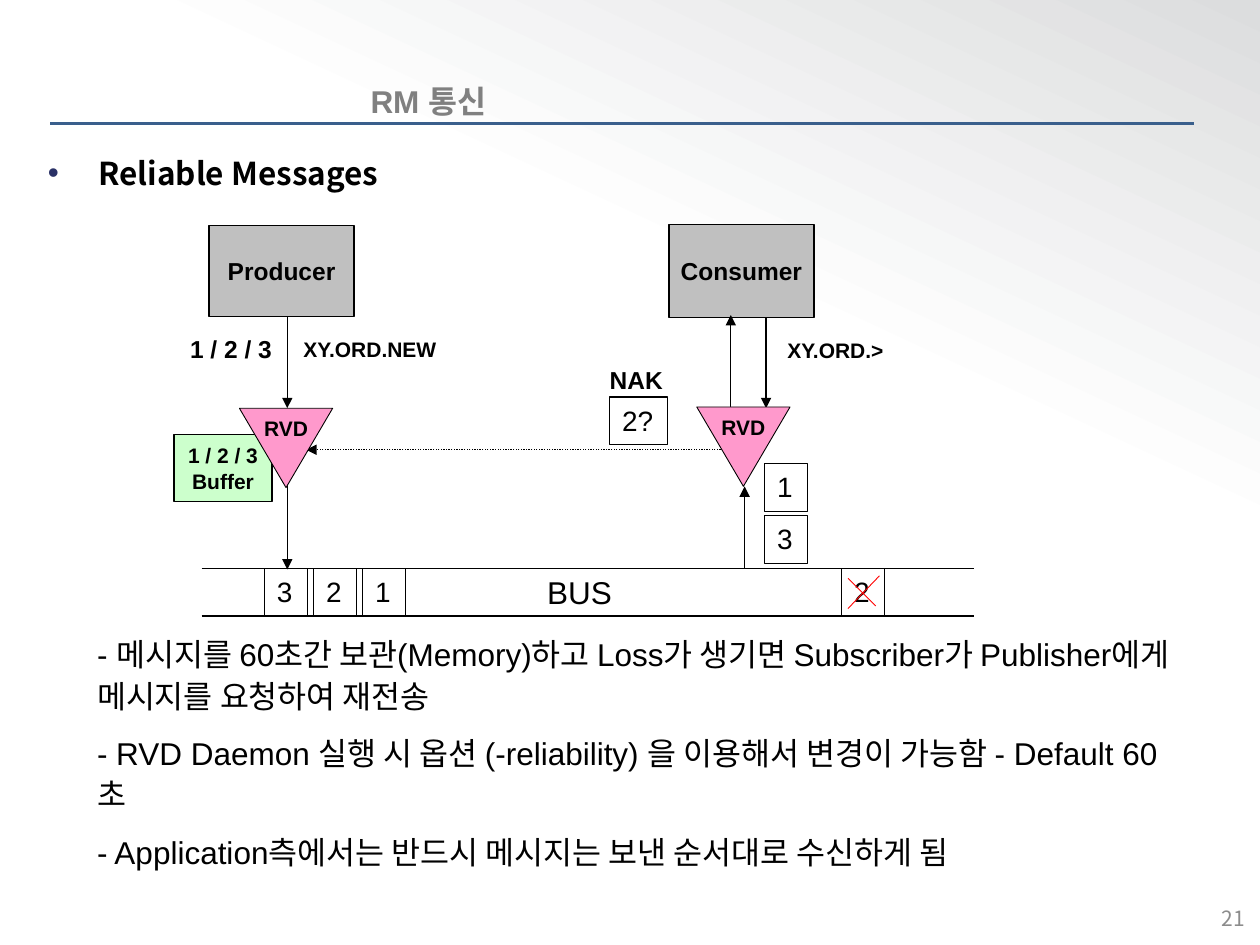
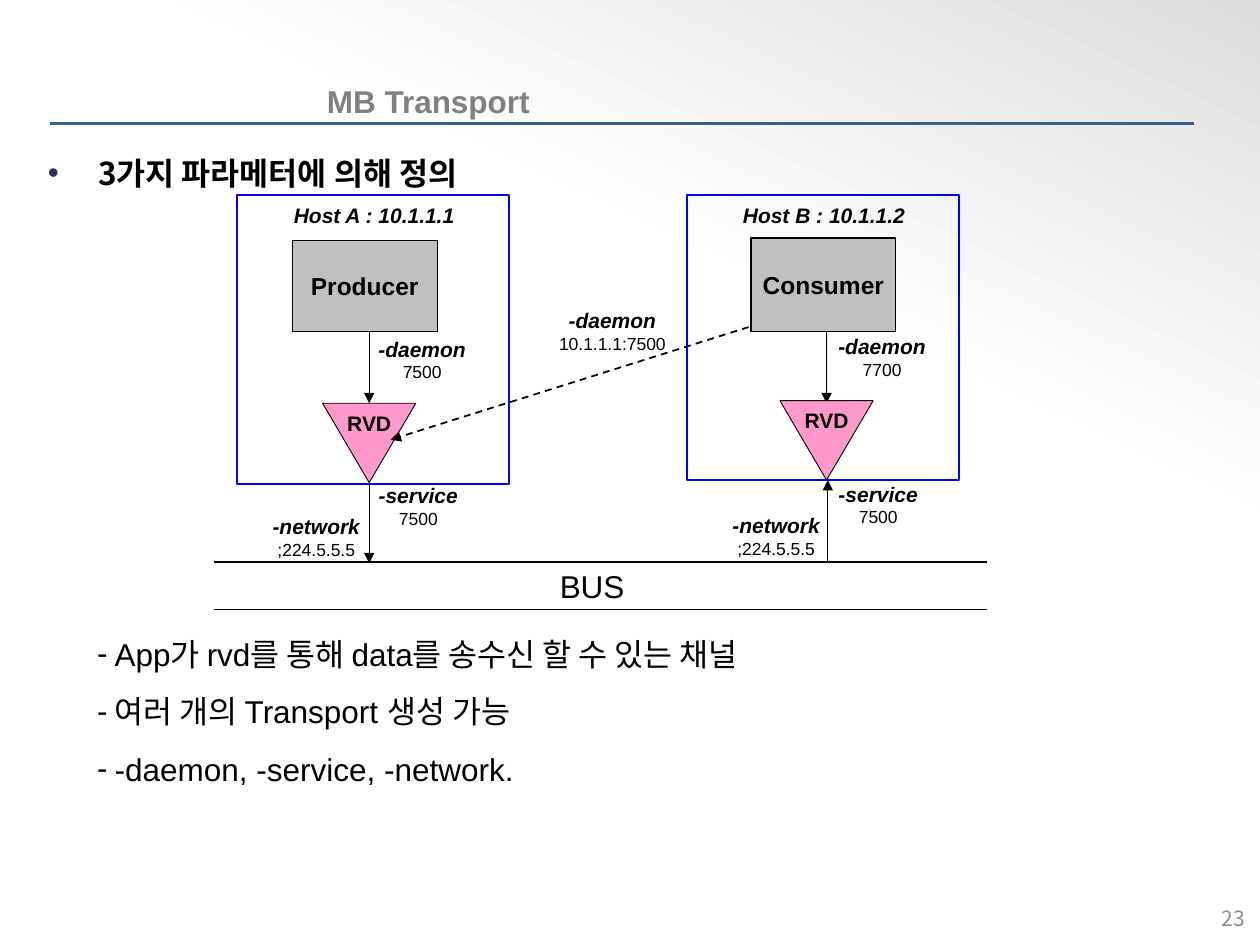
from dataclasses import dataclass
from typing import Optional

from lxml import etree
from pptx import Presentation
from pptx.dml.color import RGBColor
from pptx.enum.dml import MSO_LINE_DASH_STYLE as Dash
from pptx.enum.shapes import MSO_CONNECTOR as Conn, MSO_SHAPE as Shape
from pptx.enum.text import MSO_ANCHOR as Anchor, MSO_AUTO_SIZE as AutoSize, PP_ALIGN as Align
from pptx.oxml.ns import qn
from pptx.util import Inches, Pt

BLACK = RGBColor(0x00, 0x00, 0x00)
WHITE = RGBColor(0xFF, 0xFF, 0xFF)
MIST = RGBColor(0xDC, 0xDD, 0xDE)
RULE_BLUE = RGBColor(0x3A, 0x5F, 0x8C)
TITLE_GRAY = RGBColor(0x80, 0x80, 0x80)
NUMBER_GRAY = RGBColor(0x8C, 0x8C, 0x8C)
BULLET_NAVY = RGBColor(0x2A, 0x31, 0x66)
APP_GRAY = RGBColor(0xC0, 0xC0, 0xC0)
DAEMON_PINK = RGBColor(0xFF, 0x99, 0xCC)
BUFFER_GREEN = RGBColor(0xCC, 0xFF, 0xCC)
HOST_BLUE = RGBColor(0x00, 0x00, 0xFF)
LOST_RED = RGBColor(0xFF, 0x00, 0x00)
LATIN = "Arial"
KOREAN = "Noto Sans CJK KR"


@dataclass(frozen=True)
class Style:
    size: float
    bold: bool = False
    italic: bool = False
    color: RGBColor = BLACK
    font: str = LATIN


TITLE = Style(18, bold=True, color=TITLE_GRAY)
HEADING = Style(18, bold=True, font=KOREAN)
BODY = Style(18)
NUMBER = Style(12, color=NUMBER_GRAY, font=KOREAN)
APP = Style(14, bold=True)
LABEL = Style(12, bold=True)
OPTION = Style(12, bold=True, italic=True)
VALUE = Style(10)
PACKET = Style(16)


@dataclass(frozen=True)
class Box:
    x: float
    y: float
    w: float
    h: float
    text: str = ""
    style: Style = LABEL
    fill: Optional[RGBColor] = None
    line: RGBColor = BLACK
    weight: float = 0.75
    align: Align = Align.CENTER
    anchor: Anchor = Anchor.MIDDLE
    shape: Shape = Shape.RECTANGLE


@dataclass(frozen=True)
class Line:
    x1: float
    y1: float
    x2: float
    y2: float
    arrow: bool = True
    color: RGBColor = BLACK
    weight: float = 0.75
    dash: Optional[Dash] = None


@dataclass(frozen=True)
class Label:
    x: float
    y: float
    w: float
    h: float
    lines: tuple
    align: Align = Align.CENTER
    wrap: bool = True


@dataclass(frozen=True)
class Page:
    number: str
    title: str
    heading: str
    notes: tuple
    dash_bullets: bool


def add_run(p, text: str, style: Style) -> None:
    r = p.add_run()
    r.text = text
    f = r.font
    f.name, f.size = style.font, Pt(style.size)
    f.bold, f.italic = style.bold, style.italic
    f.color.rgb = style.color
    etree.SubElement(r._r.get_or_add_rPr(), qn("a:ea"), typeface=KOREAN)


def add_lines(tf, lines: tuple, align: Align) -> list:
    paragraphs = []
    for i, (text, style) in enumerate(lines):
        p = tf.add_paragraph() if i else tf.paragraphs[0]
        p.alignment = align
        add_run(p, text, style)
        paragraphs.append(p)
    return paragraphs


def set_bullet(p, char: str, indent: float, color: Optional[RGBColor] = None) -> None:
    pPr = p._p.get_or_add_pPr()
    pPr.set("marL", str(Inches(indent)))
    pPr.set("indent", str(-Inches(indent)))
    if color is not None:
        clr = etree.SubElement(pPr, qn("a:buClr"))
        etree.SubElement(clr, qn("a:srgbClr"), val=str(color))
    if char:
        etree.SubElement(pPr, qn("a:buChar"), char=char)
    else:
        etree.SubElement(pPr, qn("a:buNone"))


def place(sp, x: float, y: float, w: float, h: float) -> None:
    sp.left, sp.top, sp.width, sp.height = Inches(x), Inches(y), Inches(w), Inches(h)


def draw_box(s, box: Box):
    sp = s.shapes.add_shape(box.shape, Inches(box.x), Inches(box.y), Inches(box.w), Inches(box.h))
    sp.shadow.inherit = False
    if box.fill is None:
        sp.fill.background()
    else:
        sp.fill.solid()
        sp.fill.fore_color.rgb = box.fill
    sp.line.color.rgb = box.line
    sp.line.width = Pt(box.weight)
    if box.text:
        tf = sp.text_frame
        tf.word_wrap = False
        tf.vertical_anchor = box.anchor
        add_lines(tf, tuple((t, box.style) for t in box.text.split("\n")), box.align)
    return sp


def draw_line(s, line: Line) -> None:
    c = s.shapes.add_connector(Conn.STRAIGHT, Inches(line.x1), Inches(line.y1),
                               Inches(line.x2), Inches(line.y2))
    c.line.color.rgb = line.color
    c.line.width = Pt(line.weight)
    if line.dash is not None:
        c.line.dash_style = line.dash
    if line.arrow:
        etree.SubElement(c.line._get_or_add_ln(), qn("a:tailEnd"), type="triangle")
    etree.SubElement(c._element.spPr, qn("a:effectLst"))


def draw_label(s, label: Label) -> None:
    tb = s.shapes.add_textbox(Inches(label.x), Inches(label.y), Inches(label.w), Inches(label.h))
    tb.text_frame.word_wrap = label.wrap
    add_lines(tb.text_frame, label.lines, label.align)


def draw_app(s, name: str, x: float, y: float, h: float) -> None:
    draw_box(s, Box(x, y, 1.15, h, name, APP, APP_GRAY))


def draw_daemon(s, x: float, y: float) -> None:
    sp = draw_box(s, Box(x, y, 0.74, 0.63, "RVD", LABEL, DAEMON_PINK, weight=0.5,
                         shape=Shape.ISOSCELES_TRIANGLE))
    sp.rotation = 180
    sp.text_frame._txBody.bodyPr.set("rot", str(180 * 60000))


def draw_packet(s, text: str, x: float, y: float, w: float = 0.34,
                fill: Optional[RGBColor] = None) -> None:
    draw_box(s, Box(x, y, w, 0.38, text, PACKET, fill, align=Align.LEFT, anchor=Anchor.TOP))


def draw_bus(s, x: float, y: float) -> None:
    for edge in (y, y + 0.38):
        draw_line(s, Line(x, edge, x + 6.13, edge, arrow=False))
    draw_label(s, Label(x + 2.5, y - 0.01, 1, 0.4, (("BUS", BODY),)))


def draw_option(s, name: str, value: str, x: float, y: float, w: float = 1.02) -> None:
    draw_label(s, Label(x, y, w, 0.47, ((name, OPTION), (value, VALUE))))


def set_background(master) -> None:
    fill = master.background.fill
    fill.gradient()
    fill.gradient_angle = 65
    for stop, position, color in zip(fill.gradient_stops, (0.65, 1), (WHITE, MIST)):
        stop.position = position
        stop.color.rgb = color


def add_page(prs, page: Page):
    s = prs.slides.add_slide(prs.slide_layouts[3])
    title, heading, notes = s.placeholders
    draw_line(s, Line(0.4, 0.98, 9.48, 0.98, arrow=False, color=RULE_BLUE, weight=2))

    place(title, 1.51, 0.61, 3.78, 0.38)
    title.text_frame.vertical_anchor = Anchor.MIDDLE
    add_lines(title.text_frame, ((page.title, TITLE),), Align.CENTER)

    place(heading, 0.28, 1.23, 9.72, 0.55)
    p = add_lines(heading.text_frame, ((page.heading, HEADING),), Align.LEFT)[0]
    p.line_spacing, p.space_before = 0.8, Pt(0)
    set_bullet(p, "•", 0.4, BULLET_NAVY)

    place(notes, 0.75, 5.01, 8.66, 1.97)
    tf = notes.text_frame
    tf.margin_left = tf.margin_right = Inches(0.02)
    tf.margin_top = tf.margin_bottom = Inches(0)
    for i, p in enumerate(add_lines(tf, tuple((t, BODY) for t in page.notes), Align.LEFT)):
        p.line_spacing, p.space_before = 1.1, Pt(9 if i else 0)
        if page.dash_bullets:
            set_bullet(p, "-", 0.14)
        else:
            set_bullet(p, "", 0)

    for sp in (title, heading, notes):
        sp.text_frame.auto_size = AutoSize.NONE

    tb = s.shapes.add_textbox(Inches(7.65), Inches(7.09), Inches(2.33), Inches(0.4))
    tb.text_frame.word_wrap = True
    tb.text_frame.vertical_anchor = Anchor.MIDDLE
    add_lines(tb.text_frame, ((page.number, NUMBER),), Align.RIGHT)
    return s


def build_reliable_messages(prs) -> None:
    s = add_page(prs, Page("21", "RM 통신", "Reliable Messages", (
        "- 메시지를 60초간 보관(Memory)하고 Loss가 생기면 Subscriber가 Publisher에게 메시지를 요청하여 재전송",
        "- RVD Daemon 실행 시 옵션 (-reliability) 을 이용해서 변경이 가능함 - Default 60초",
        "- Application측에서는 반드시 메시지는 보낸 순서대로 수신하게 됨",
    ), dash_bullets=False))
    draw_app(s, "Producer", 1.66, 1.79, 0.72)
    draw_app(s, "Consumer", 5.31, 1.78, 0.74)
    draw_bus(s, 1.6, 4.51)
    for i, text in enumerate("321"):
        draw_packet(s, text, 2.1 + 0.39 * i, 4.51)
    draw_packet(s, "2", 6.68, 4.51)
    draw_packet(s, "2?", 4.84, 3.15, w=0.46)
    for text, y in (("1", 3.68), ("3", 4.09)):
        draw_packet(s, text, 6.07, y, fill=WHITE)
    for text, style, x, y, w in (
        ("NAK", APP, 4.74, 2.85, 0.62),
        ("1 / 2 / 3", APP, 1.41, 2.6, 0.85),
        ("XY.ORD.NEW", LABEL, 2.31, 2.62, 1.28),
        ("XY.ORD.>", LABEL, 6.15, 2.63, 0.98),
    ):
        draw_label(s, Label(x, y, w, 0.33, ((text, style),), Align.LEFT, wrap=False))
    draw_box(s, Box(1.38, 3.45, 0.78, 0.53, "1 / 2 / 3\nBuffer", LABEL, BUFFER_GREEN))
    for line in (
        Line(5.91, 4.51, 5.91, 3.86),
        Line(5.8, 3.24, 5.8, 2.5),
        Line(6.08, 2.52, 6.08, 3.24),
        Line(2.28, 2.52, 2.28, 3.24),
        Line(2.28, 3.63, 2.28, 4.52),
        Line(5.74, 3.57, 2.43, 3.57, dash=Dash.ROUND_DOT),
    ):
        draw_line(s, line)
    draw_daemon(s, 1.9, 3.24)
    draw_daemon(s, 5.53, 3.23)
    for x1, y1, x2, y2 in ((6.98, 4.57, 6.73, 4.83), (6.73, 4.59, 6.95, 4.81)):
        draw_line(s, Line(x1, y1, x2, y2, arrow=False, color=LOST_RED, weight=0.5))


def build_transport(prs) -> None:
    s = add_page(prs, Page("23", "MB Transport", "3가지 파라메터에 의해 정의", (
        "App가 rvd를 통해 data를 송수신 할 수 있는 채널",
        "여러 개의 Transport 생성 가능",
        "-daemon, -service, -network.",
    ), dash_bullets=True))
    draw_bus(s, 1.7, 4.46)
    for line in (
        Line(6.57, 4.46, 6.57, 3.81),
        Line(6.56, 2.45, 6.56, 3.2),
        Line(2.93, 2.47, 2.93, 3.2),
        Line(2.93, 3.58, 2.93, 4.47),
    ):
        draw_line(s, line)
    draw_daemon(s, 2.56, 3.2)
    draw_daemon(s, 6.19, 3.18)
    draw_line(s, Line(6.31, 2.48, 3.1, 3.49, weight=1, dash=Dash.DASH))
    for name, x, h in (("Host A : 10.1.1.1", 1.88, 2.29), ("Host B : 10.1.1.2", 5.45, 2.26)):
        draw_box(s, Box(x, 1.55, 2.16, h, line=HOST_BLUE, weight=1))
        draw_label(s, Label(x + 0.29, 1.56, 1.6, 0.3, ((name, OPTION),)))
    draw_app(s, "Producer", 2.32, 1.91, 0.72)
    draw_app(s, "Consumer", 5.96, 1.89, 0.74)
    draw_option(s, "-daemon", "10.1.1.1:7500", 4.3, 2.39, w=1.12)
    for name, value, x, y in (
        ("-daemon", "7500", 2.84, 2.62),
        ("-service", "7500", 2.81, 3.78),
        ("-network", ";224.5.5.5", 2, 4.03),
        ("-daemon", "7700", 6.49, 2.6),
        ("-service", "7500", 6.46, 3.77),
        ("-network", ";224.5.5.5", 5.65, 4.02),
    ):
        draw_option(s, name, value, x, y)


def main() -> None:
    prs = Presentation()
    prs.slide_width, prs.slide_height = Inches(10), Inches(7.5)
    set_background(prs.slide_master)
    build_reliable_messages(prs)
    build_transport(prs)
    prs.save("out.pptx")


if __name__ == "__main__":
    main()
